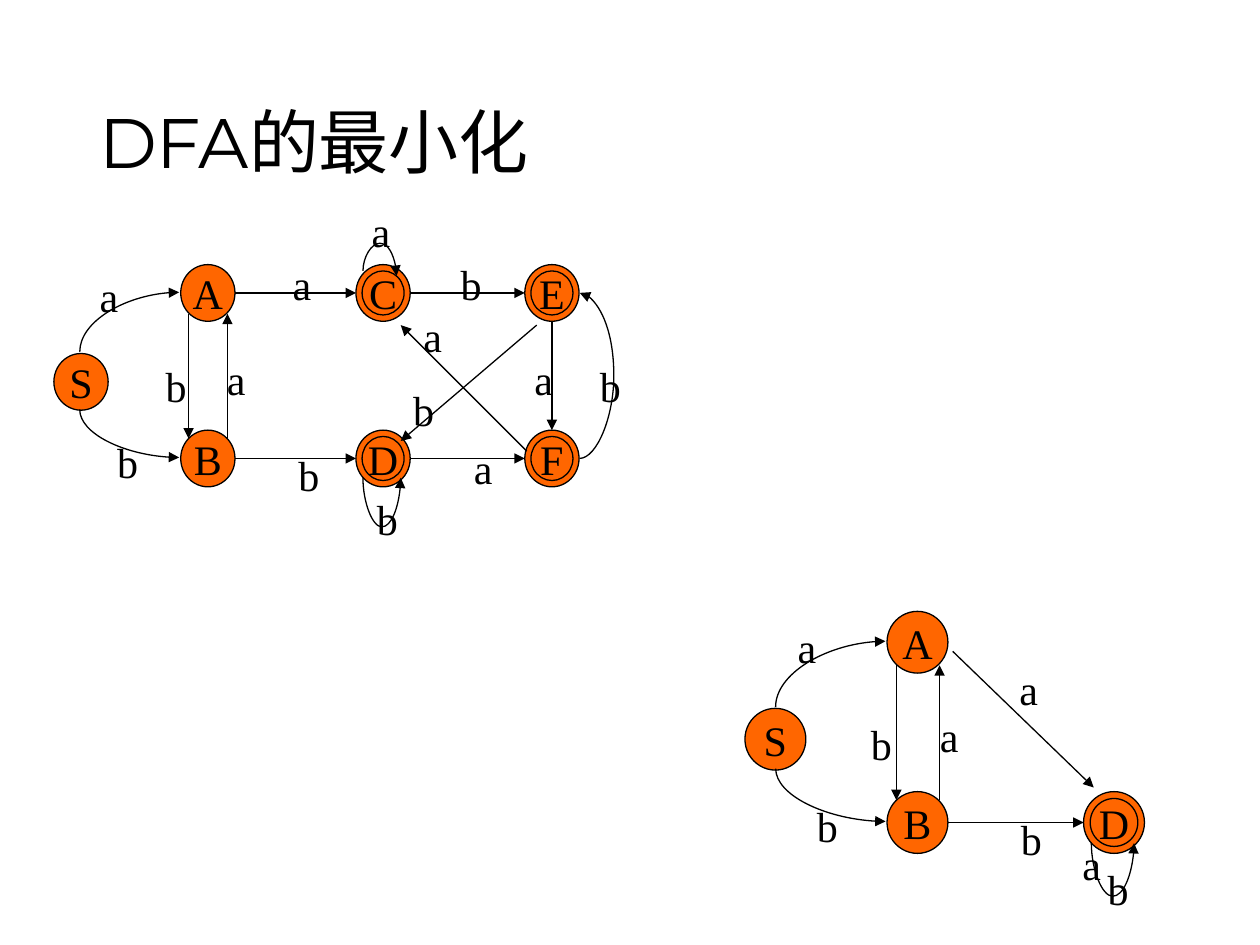
"""Build a slide showing a DFA and its minimised form."""
from dataclasses import dataclass

from lxml import etree
from pptx import Presentation
from pptx import util as u
from pptx.dml.color import RGBColor
from pptx.enum import shapes, text
from pptx.oxml.ns import qn


@dataclass(frozen=True)
class Theme:
    ink: RGBColor = RGBColor(0, 0, 0)
    node: RGBColor = RGBColor(0xFF, 0x66, 0x00)
    title_font: str = "Montserrat"
    label_font: str = "Times New Roman"
    title_size: int = 40
    label_size: int = 24
    line_width: float = 0.75


THEME = Theme()
TITLE = "DFA的最小化"
LABEL_HEIGHT = 36
MIN_EXTENT = 0.13

FULL_DFA = {
    "size": (31, 32.4),
    "inner": (24, 25.2),
    "label_widths": {"a": 25.2, "b": 26.6},
    "nodes": {
        "S": (46.3, 218.2), "A": (118.8, 167.4), "B": (118.8, 262),
        "C": (218.9, 167.4), "D": (218.9, 262),
        "E": (315.4, 167.4), "F": (315.4, 262),
    },
    "accepting": "CDEF",
    "joined": [("A", "C"), ("B", "D"), ("D", "F"), ("C", "E"), ("E", "F")],
    "arrows": [
        ((130, 250.6), (130, 179.3)), ((107.8, 179.3), (107.8, 250.6)),
        ((301, 257.8), (229, 185.8)), ((306.7, 185.8), (229, 252)),
    ],
    "curves": [
        ((45.6, 201), (102.4, 167), 270, None, None),
        ((45.6, 234), (102.4, 261.4), 270, "flipH", None),
        ((331.2, 262), (331.2, 167.4), 0, "flipV", 18),
        ((207.4, 154.8), (226.6, 157.6), 90, "flipV", -15.8),
        ((207.4, 272.9), (229, 272.9), 270, "flipH", 25.9),
    ],
    "labels": [
        ("b", 335.5, 202.4), ("a", 49.6, 151.2), ("a", 122.4, 198.6),
        ("a", 160, 144.2), ("a", 234.7, 174.1), ("a", 298, 198.6),
        ("a", 263.5, 249.3), ("b", 59.6, 245.8), ("b", 87.3, 202.4),
        ("b", 163.2, 253), ("b", 228.8, 216), ("b", 256, 144.2),
        ("b", 208, 278.6), ("a", 205, 113.8),
    ],
}

MINIMAL_DFA = {
    "size": (34.8, 35.3),
    "inner": (27.2, 27.4),
    "label_widths": {"a": 28, "b": 29.5},
    "nodes": {
        "S": (443.1, 422.4), "A": (524.3, 367),
        "B": (524.3, 470), "D": (636.6, 470),
    },
    "accepting": "D",
    "joined": [("B", "D")],
    "arrows": [
        ((536.9, 457.2), (536.9, 380.2)), ((512.2, 380.2), (512.2, 457.2)),
        ((544.4, 372.2), (625, 450)),
    ],
    "curves": [
        ((443.2, 404), (506, 366.4), 270, None, None),
        ((443.2, 439.2), (506, 469.4), 270, "flipH", None),
        ((623.6, 481.7), (648, 481.7), 270, "flipH", 28),
    ],
    "labels": [
        ("a", 447.1, 351.4), ("a", 528.5, 402.5), ("a", 573.8, 375.8),
        ("b", 458, 453.6), ("b", 488.9, 406.8), ("b", 574.6, 461.5),
        ("b", 624.2, 489.6), ("a", 609.8, 475.4),
    ],
}


def points(*values):
    return [u.Pt(value) for value in values]


def write(shape, content, font, size):
    frame = shape.text_frame
    frame.word_wrap = False
    frame.vertical_anchor = text.MSO_ANCHOR.MIDDLE
    paragraph = frame.paragraphs[0]
    paragraph.text = content
    paragraph.alignment = text.PP_ALIGN.CENTER
    paragraph.font.name = font
    paragraph.font.size = u.Pt(size)
    paragraph.font.color.rgb = THEME.ink
    return frame, paragraph


def draw_line(line):
    line.color.rgb = THEME.ink
    line.width = u.Pt(THEME.line_width)


def add_circle(group, center, size, name=None):
    (x, y), (width, height) = center, size
    shape = group.shapes.add_shape(
        shapes.MSO_SHAPE.OVAL, *points(x - width / 2, y - height / 2, width, height))
    shape.shadow.inherit = False
    shape.fill.solid()
    shape.fill.fore_color.rgb = THEME.node
    draw_line(shape.line)
    if name:
        write(shape, name, THEME.label_font, THEME.label_size)


def add_arrow(group, start, end, kind=shapes.MSO_CONNECTOR.STRAIGHT):
    connector = group.shapes.add_connector(kind, *points(*start, *end))
    draw_line(connector.line)
    properties = connector._element.spPr
    outline = properties.find(qn("a:ln"))
    etree.SubElement(outline, qn("a:tailEnd"), type="triangle")
    etree.SubElement(properties, qn("a:effectLst"))
    return properties


def add_curve(group, start, end, rotation, flip, bulge):
    (x1, y1), (x2, y2) = start, end
    width, height = abs(x2 - x1), abs(y2 - y1)
    if rotation in (90, 270):
        width, height = height, width
    width = max(width, MIN_EXTENT)
    left, top = (x1 + x2 - width) / 2, (y1 + y2 - height) / 2
    properties = add_arrow(group, (left, top), (left + width, top + height),
                           shapes.MSO_CONNECTOR.CURVE)
    transform = properties.find(qn("a:xfrm"))
    transform.set("rot", str(rotation * 60000))
    if flip:
        transform.set(flip, "1")
    geometry = properties.find(qn("a:prstGeom"))
    if bulge is None:
        geometry.set("prst", "curvedConnector2")
    else:
        adjustments = geometry.find(qn("a:avLst"))
        if adjustments is None:
            adjustments = etree.SubElement(geometry, qn("a:avLst"))
        etree.SubElement(adjustments, qn("a:gd"), name="adj1",
                         fmla=f"val {round(bulge / width * 100000)}")


def join_nodes(group, start, end, size):
    (x1, y1), (x2, y2) = start, end
    width, height = size
    if y1 == y2:
        add_arrow(group, (x1 + width / 2, y1), (x2 - width / 2, y2))
    else:
        add_arrow(group, (x1, y1 + height / 2), (x2, y2 - height / 2))


def add_automaton(slide, automaton):
    group = slide.shapes.add_group_shape()
    nodes, size = automaton["nodes"], automaton["size"]
    for name, center in nodes.items():
        if name in automaton["accepting"]:
            add_circle(group, center, size)
            add_circle(group, center, automaton["inner"], name)
        else:
            add_circle(group, center, size, name)
    for source, target in automaton["joined"]:
        join_nodes(group, nodes[source], nodes[target], size)
    for start, end in automaton["arrows"]:
        add_arrow(group, start, end)
    for curve in automaton["curves"]:
        add_curve(group, *curve)
    for label, left, top in automaton["labels"]:
        width = automaton["label_widths"][label]
        box = group.shapes.add_textbox(*points(left, top, width, LABEL_HEIGHT))
        write(box, label, THEME.label_font, THEME.label_size)


def add_title(slide):
    box = slide.shapes.add_textbox(*points(31.7, 18, 612, 90))
    frame, paragraph = write(box, TITLE, THEME.title_font, THEME.title_size)
    frame.word_wrap = True
    frame.margin_left = u.Pt(25)
    frame.vertical_anchor = text.MSO_ANCHOR.BOTTOM
    paragraph.alignment = text.PP_ALIGN.LEFT


def main():
    presentation = Presentation()
    presentation.slide_width, presentation.slide_height = points(720, 540)
    slide = presentation.slides.add_slide(presentation.slide_layouts[6])
    add_title(slide)
    for automaton in (FULL_DFA, MINIMAL_DFA):
        add_automaton(slide, automaton)
    presentation.save("out.pptx")


if __name__ == "__main__":
    main()
